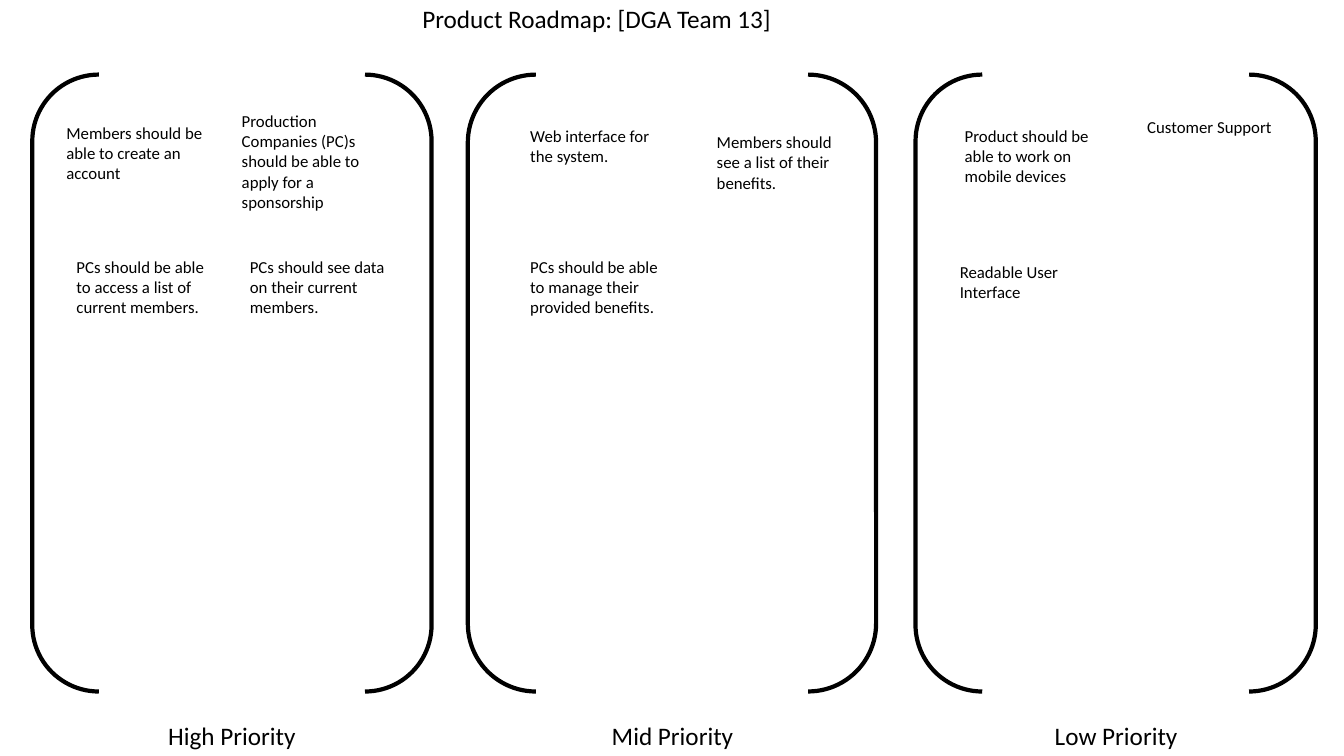
"""Build a product roadmap slide with three bracketed priority columns."""
from dataclasses import dataclass

from pptx import Presentation
from pptx.dml.color import RGBColor
from pptx.enum.shapes import MSO_SHAPE
from pptx.enum.text import MSO_AUTO_SIZE, PP_ALIGN
from pptx.slide import Slide
from pptx.util import Inches, Pt

BLACK = RGBColor(0x00, 0x00, 0x00)
FONT = "Calibri"
SLIDE_W, SLIDE_H = Inches(13.33), Inches(7.5)
BRACKET_TOP, BRACKET_H = 9.87, 81.6
LABEL_TOP, LABEL_W, LABEL_H = 94.67, 21.76, 5.33
NOTE_PAD, NOTE_LINE_H = 1.33, 2.7


@dataclass(frozen=True)
class Note:
    text: str
    x: float
    y: float
    lines: int = 3
    w: float = 11.7


@dataclass(frozen=True)
class Priority:
    label: str
    label_x: float
    x: float
    w: float
    notes: tuple[Note, ...]


PRIORITIES = (
    Priority("High Priority", 6.38, 2.4, 29.71, (
        Note("Members should be able to create an account", 4.2, 15.6),
        Note("Production Companies (PC)s should be able to apply for a sponsorship",
             17.25, 14, lines=5, w=12.83),
        Note("PCs should be able to access a list of current members.", 4.95, 33.33),
        Note("PCs should see data on their current members.", 17.85, 33.33),
    )),
    Priority("Mid Priority", 39.16, 34.81, 30.38, (
        Note("Web interface for the system.", 38.71, 16, lines=2),
        Note("Members should see a list of their benefits.", 52.59, 16.8),
        Note("PCs should be able to manage their provided benefits.", 38.71, 33.33),
    )),
    Priority("Low Priority", 72.17, 68.12, 29.78, (
        Note("Product should be able to work on mobile devices", 71.04, 16),
        Note("Customer Support", 84.62, 14.8, lines=1),
        Note("Readable User Interface", 70.67, 34, lines=2, w=11.93),
    )),
)


def box(x: float, y: float, w: float, h: float) -> tuple[int, int, int, int]:
    """Turn percentages of the slide into lengths."""
    return (round(SLIDE_W * x / 100), round(SLIDE_H * y / 100),
            round(SLIDE_W * w / 100), round(SLIDE_H * h / 100))


def add_text(s: Slide, text: str, x: float, y: float, w: float, h: float, *,
             size: float = 12, align: PP_ALIGN = PP_ALIGN.LEFT) -> None:
    """Add a wrapped text box with one paragraph."""
    tf = s.shapes.add_textbox(*box(x, y, w, h)).text_frame
    tf.word_wrap = True
    tf.auto_size = MSO_AUTO_SIZE.SHAPE_TO_FIT_TEXT
    p = tf.paragraphs[0]
    p.alignment = align
    r = p.add_run()
    r.text = text
    r.font.name = FONT
    r.font.size = Pt(size)
    r.font.color.rgb = BLACK


def add_bracket(s: Slide, x: float, w: float) -> None:
    """Add the bracket pair that encloses a priority column."""
    sp = s.shapes.add_shape(MSO_SHAPE.DOUBLE_BRACKET,
                            *box(x, BRACKET_TOP, w, BRACKET_H))
    sp.shadow.inherit = False
    sp.fill.background()
    sp.line.color.rgb = BLACK
    sp.line.width = Pt(3)


def add_priority(s: Slide, col: Priority) -> None:
    """Add a priority column with its label and notes."""
    add_bracket(s, col.x, col.w)
    add_text(s, col.label, col.label_x, LABEL_TOP, LABEL_W, LABEL_H,
             size=18, align=PP_ALIGN.CENTER)
    for note in col.notes:
        add_text(s, note.text, note.x, note.y, note.w,
                 NOTE_PAD + NOTE_LINE_H * note.lines)


def main() -> None:
    """Build and save the slide."""
    prs = Presentation()
    prs.slide_width, prs.slide_height = SLIDE_W, SLIDE_H
    s = prs.slides.add_slide(prs.slide_layouts[6])
    add_text(s, "Product Roadmap: [DGA Team 13]", 30.68, -0.27, 58.89, LABEL_H,
             size=18)
    for col in PRIORITIES:
        add_priority(s, col)
    prs.save("out.pptx")


if __name__ == "__main__":
    main()
